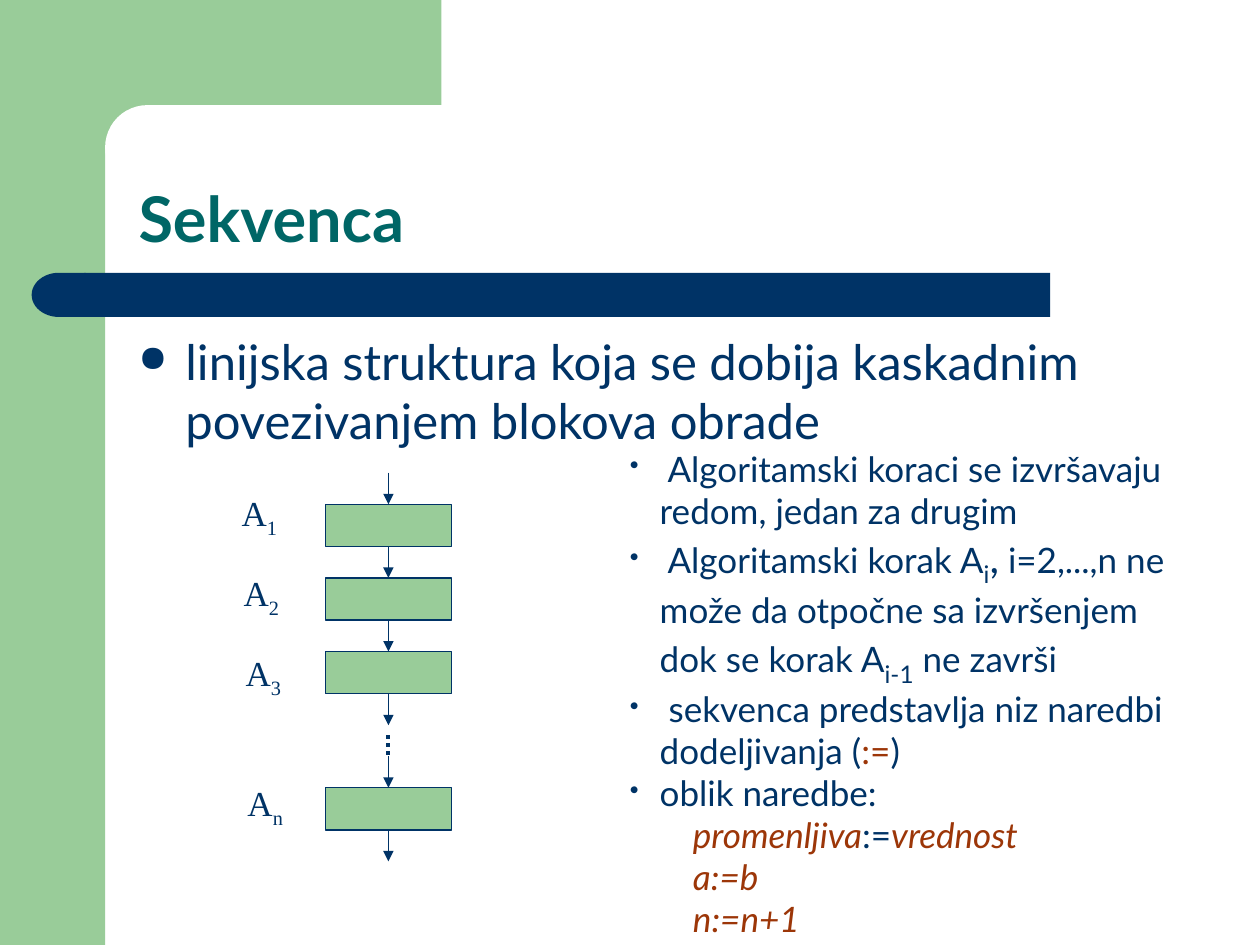
import pptx
import pptx.dml.color
import pptx.enum.dml
import pptx.enum.shapes
import pptx.enum.text
import pptx.oxml.ns
import pptx.util
from lxml import etree

Cm = pptx.util.Cm
Pt = pptx.util.Pt
RGBColor = pptx.dml.color.RGBColor
SHAPE = pptx.enum.shapes.MSO_SHAPE
AUTO_SIZE = pptx.enum.text.MSO_AUTO_SIZE
qn = pptx.oxml.ns.qn

GREEN = RGBColor(0x99, 0xCC, 0x99)
NAVY = RGBColor(0x00, 0x33, 0x66)
TEAL = RGBColor(0x00, 0x66, 0x66)
RUST = RGBColor(0x9C, 0x36, 0x08)
WHITE = RGBColor(0xFF, 0xFF, 0xFF)
SANS = "Lato"
SERIF = "Times New Roman"


def add_block(slide, kind, box, fill, line=None):
    shape = slide.shapes.add_shape(kind, *map(Cm, box))
    shape.shadow.inherit = False
    shape.fill.solid()
    shape.fill.fore_color.rgb = fill
    if line is None:
        shape.line.fill.background()
    else:
        shape.line.color.rgb = line
        shape.line.width = Pt(0.75)
    return shape


def add_line(slide, x, top, bottom, width=0.75, arrow=True):
    connector = slide.shapes.add_connector(
        pptx.enum.shapes.MSO_CONNECTOR.STRAIGHT, Cm(x), Cm(top), Cm(x), Cm(bottom))
    connector.line.color.rgb = NAVY
    connector.line.width = Pt(width)
    properties = connector.element.spPr
    if arrow:
        etree.SubElement(properties.find(qn("a:ln")), qn("a:tailEnd"), type="triangle")
    etree.SubElement(properties, qn("a:effectLst"))
    return connector


def add_text_box(slide, box, wrap=True, auto_size=AUTO_SIZE.NONE):
    frame = slide.shapes.add_textbox(*map(Cm, box)).text_frame
    frame.word_wrap = wrap
    frame.auto_size = auto_size
    return frame


def add_run(paragraph, text, size=20, color=NAVY, font=SANS, italic=False, subscript=False):
    run = paragraph.add_run()
    run.text = text
    run.font.name = font
    run.font.size = Pt(size)
    run.font.color.rgb = color
    run.font.italic = italic
    if subscript:
        run.font._element.set("baseline", "-25000")


def set_indent(paragraph, margin, bullet=None):
    properties = paragraph._p.get_or_add_pPr()
    properties.set("marL", str(Cm(margin)))
    properties.set("indent", str(Cm(-margin if bullet else 0)))
    if bullet:
        color = etree.SubElement(properties, qn("a:buClr"))
        etree.SubElement(color, qn("a:srgbClr"), val=str(NAVY))
        etree.SubElement(properties, qn("a:buSzPct"), val="75000")
        etree.SubElement(properties, qn("a:buChar"), char=bullet)


def add_frame(slide, width, height):
    # Green corner with a rounded white inset
    add_block(slide, SHAPE.RECTANGLE, (0, 0, 2.12, height), GREEN)
    add_block(slide, SHAPE.RECTANGLE, (1.9, 0, 7, 2.96), GREEN)
    inset = add_block(slide, SHAPE.ROUNDED_RECTANGLE, (2.12, 2.12, 14.18, 1.7), WHITE)
    inset.adjustments[0] = 0.5
    # Navy bar with a round left end
    bar = add_block(slide, SHAPE.ROUNDED_RECTANGLE, (1.7, 5.5, width - 5.93, 0.89), NAVY)
    bar.adjustments[0] = 0
    cap = add_block(slide, SHAPE.FLOWCHART_DELAY, (0.64, 5.5, 1.09, 0.89), NAVY)
    cap.element.spPr.get_or_add_xfrm().set("flipH", "1")


def place_title(slide, box, text):
    title = slide.shapes.title
    title.left, title.top, title.width, title.height = map(Cm, box)
    slide.shapes.element.append(title.element)  # in front of the frame
    frame = title.text_frame
    frame.text = text
    frame.vertical_anchor = pptx.enum.text.MSO_ANCHOR.BOTTOM
    paragraph = frame.paragraphs[0]
    paragraph.alignment = pptx.enum.text.PP_ALIGN.LEFT
    paragraph.line_spacing = 0.9
    font = paragraph.runs[0].font
    font.name, font.size, font.bold = SANS, Pt(36), True
    font.color.rgb = TEAL


def add_statement(slide, box, text):
    paragraph = add_text_box(slide, box).paragraphs[0]
    set_indent(paragraph, 0.95, "●")
    paragraph.space_before = Pt(7)
    add_run(paragraph, text, 28)


def add_flow(slide, left, top):
    block_width, block_height, arrow = 2.54, 0.85, 0.635
    center = left + block_width / 2
    pitch = block_height + arrow
    last_top = top + 6.35
    block_tops = [top + arrow + pitch * i for i in range(3)] + [last_top]
    blocks = [add_block(slide, SHAPE.FLOWCHART_PROCESS,
                        (left, block_top, block_width, block_height), GREEN, NAVY)
              for block_top in block_tops]

    # Arrows into each block, then out of the third and the last
    for i, block_top in enumerate(block_tops):
        connector = add_line(slide, center, block_top - arrow, block_top)
        connector.end_connect(blocks[i], 0)
        if i in (1, 2):
            connector.begin_connect(blocks[i - 1], 2)
    for i in (2, 3):
        bottom = block_tops[i] + block_height
        add_line(slide, center, bottom, bottom + arrow).begin_connect(blocks[i], 2)

    # Dots for the omitted steps
    dots = add_line(slide, center, last_top - arrow - 0.42, last_top - arrow, 2.25, False)
    dots.line.dash_style = pptx.enum.dml.MSO_LINE.ROUND_DOT

    # Step names
    for i, (index, offset) in enumerate(zip("123n", (0.25, 1.87, 3.48, 6.1))):
        box = (left - 1.94 + 0.04 * i, top + offset, 1.22, 1.22)
        paragraph = add_text_box(slide, box, False, AUTO_SIZE.SHAPE_TO_FIT_TEXT).paragraphs[0]
        add_run(paragraph, "A", font=SERIF)
        add_run(paragraph, index, font=SERIF, subscript=True)


def add_notes_column(slide, box):
    lower = {"size": 24, "subscript": True}
    term = {"color": RUST, "italic": True}
    bullets = [
        [(" Algoritamski koraci se izvršavaju redom, jedan za drugim", {})],
        [(" Algoritamski korak A", {}), ("i", lower), (",", {"size": 24}),
         (" i=2,...,n ne može da otpočne sa izvršenjem dok se korak A", {}),
         ("i-1", lower), (" ne završi", {})],
        [(" sekvenca predstavlja niz naredbi dodeljivanja (", {}),
         (":=", {"color": RUST}), (")", {})],
        [("oblik naredbe:", {})],
    ]
    examples = [
        [("promenljiva", term), (":=", {}), ("vrednost", term)],
        [("a:=b", term)],
        [("n:=n+1", term)],
    ]
    frame = add_text_box(slide, box, auto_size=AUTO_SIZE.SHAPE_TO_FIT_TEXT)
    for i, runs in enumerate(bullets + examples):
        paragraph = frame.add_paragraph() if i else frame.paragraphs[0]
        if i < len(bullets):
            set_indent(paragraph, 0.6, "•")
        else:
            paragraph.level = 1
            set_indent(paragraph, 1.27)
        for text, style in runs:
            add_run(paragraph, text, **style)


def main():
    width, height = 25.4, 19.05
    presentation = pptx.Presentation()
    presentation.slide_width, presentation.slide_height = Cm(width), Cm(height)
    slide = presentation.slides.add_slide(presentation.slide_layouts.get_by_name("Title Only"))
    add_frame(slide, width, height)
    place_title(slide, (2.54, 2.12, 22.22, 3.18), "Sekvenca")
    add_statement(slide, (2.54, 6.56, 22.22, 10.37),
                  "linijska struktura koja se dobija kaskadnim povezivanjem blokova obrade")
    add_flow(slide, 6.56, 9.53)
    add_notes_column(slide, (12.45, 8.89, 11.48, 11.89))
    presentation.save("out.pptx")


if __name__ == "__main__":
    main()
